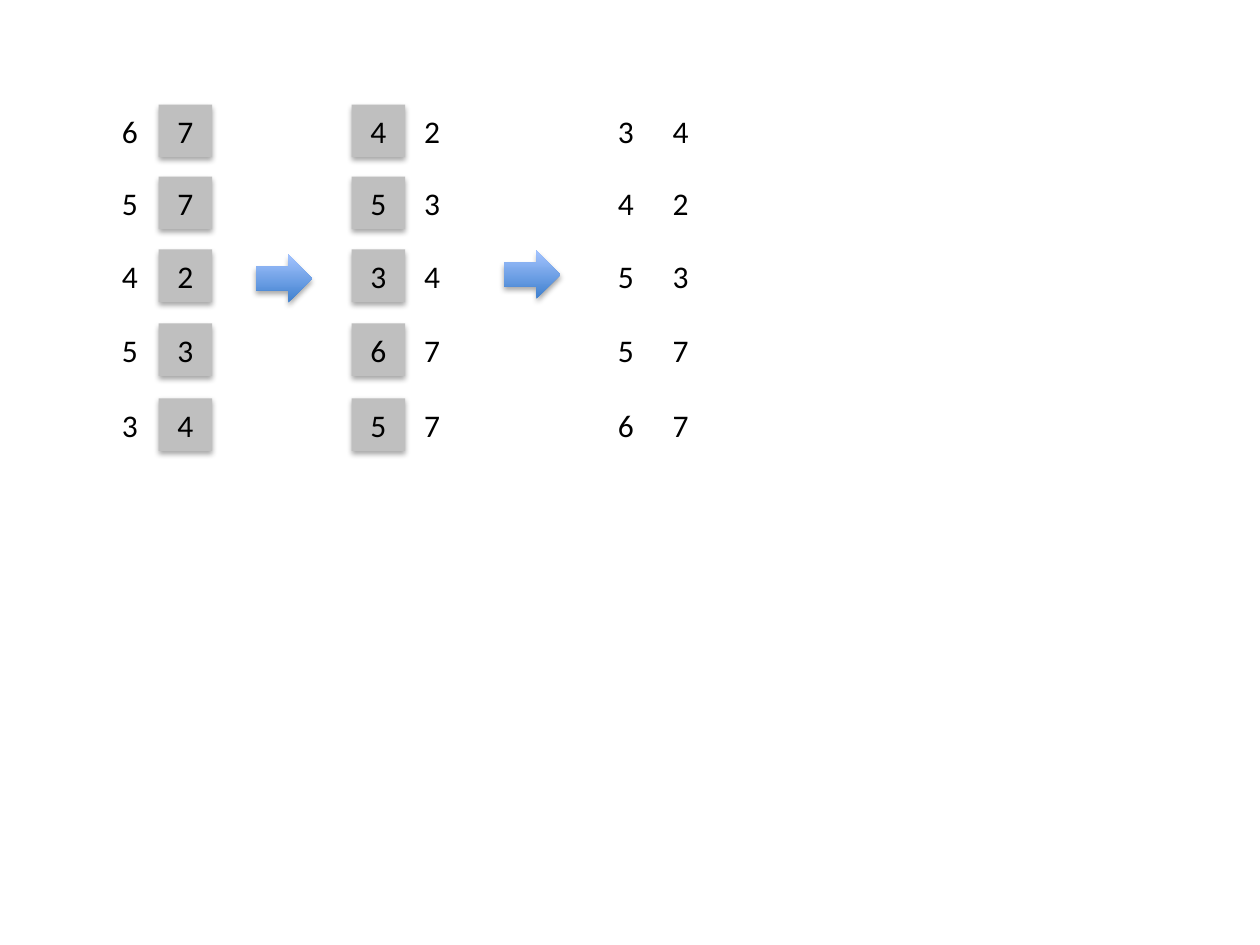
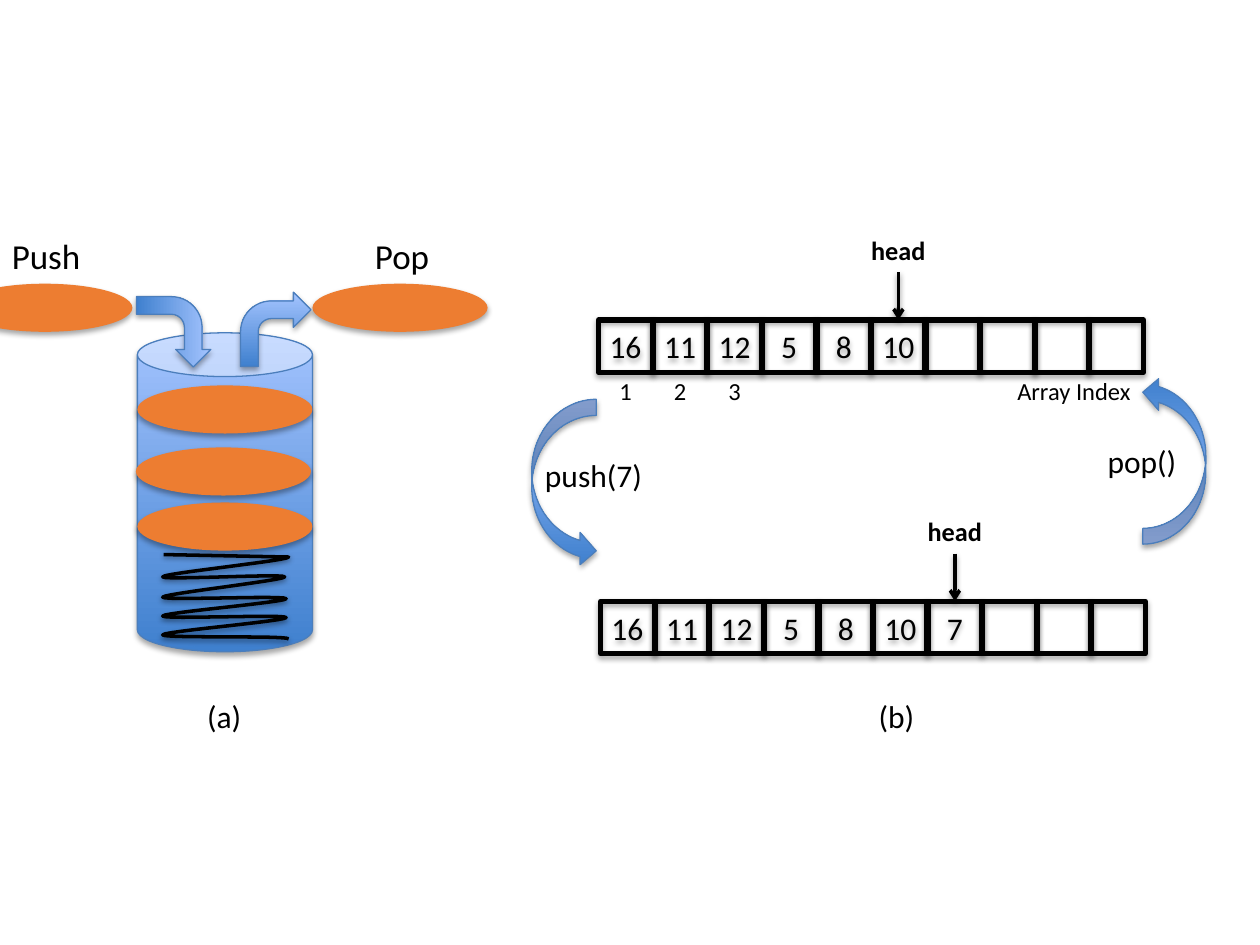
from pptx import Presentation
from pptx.dml.color import RGBColor
from pptx.enum.shapes import MSO_CONNECTOR as Link, MSO_SHAPE as Preset
from pptx.enum.text import MSO_ANCHOR as Anchor, PP_ALIGN as Align
from pptx.oxml import parse_xml
from pptx.oxml.ns import nsdecls, qn
from pptx.util import Cm, Pt

COLORS = {
    "ink": "000000",
    "square": "BFBFBF",
    "plate": "ED7D31",
    "deep": "3F80CE",
    "pale": "A4C4FF",
    "outline": "4B7EBC",
}
FONT = "Calibri"
CELL_W, CELL_H = 1.08, 1.06


def write(box, text, size=18, bold=False):
    frame = box.text_frame
    frame.word_wrap = False
    frame.vertical_anchor = Anchor.MIDDLE
    frame.margin_left = frame.margin_right = frame.margin_top = frame.margin_bottom = 0
    para = frame.paragraphs[0]
    para.alignment = Align.CENTER
    span = para.add_run()
    span.text = text
    span.font.name = FONT
    span.font.size = Pt(size)
    span.font.bold = bold
    span.font.color.rgb = RGBColor.from_string(COLORS["ink"])


def paint(shape, fill=None, line=None, width=0.75, distance=23000, opacity=35):
    """Set fill, line and the soft shadow; connectors have no fill."""
    if fill == "gradient":
        shape.fill.gradient()
        shape.fill.gradient_angle = 90
        for stop, name in zip(shape.fill.gradient_stops, ("deep", "pale")):
            stop.color.rgb = RGBColor.from_string(COLORS[name])
    elif fill:
        shape.fill.solid()
        shape.fill.fore_color.rgb = RGBColor.from_string(COLORS[fill])
    elif hasattr(shape, "fill"):
        shape.fill.background()
    if line:
        shape.line.color.rgb = RGBColor.from_string(COLORS[line])
        shape.line.width = Pt(width)
    else:
        shape.line.fill.background()
    shape._element.spPr.append(parse_xml(
        f'<a:effectLst {nsdecls("a")}><a:outerShdw blurRad="40000" dist="{distance}" '
        f'dir="5400000" rotWithShape="0"><a:srgbClr val="{COLORS["ink"]}">'
        f'<a:alpha val="{opacity}000"/></a:srgbClr></a:outerShdw></a:effectLst>'))


deck = Presentation()
deck.slide_width, deck.slide_height = Cm(25.4), Cm(19.05)
blank = deck.slide_layouts[6]

# Slide 1: radix sort, one digit at a time
page = deck.slides.add_slide(blank)
row_tops = [2.11, 3.56, 5.03, 6.52, 8.03]
digit_columns = [  # left, digits, is the sorted digit
    (2.08, "65453", False), (3.2, "77234", True),
    (7.09, "45365", True), (8.17, "23477", False),
    (12.08, "34556", False), (13.18, "42377", False),
]
for left, digits, sorted_digit in digit_columns:
    for top, digit in zip(row_tops, digits):
        bounds = Cm(left), Cm(top), Cm(CELL_W), Cm(CELL_H)
        if sorted_digit:
            box = page.shapes.add_shape(Preset.RECTANGLE, *bounds)
            paint(box, "square")
        else:
            box = page.shapes.add_textbox(*bounds)
        write(box, digit)

for left, top in [(5.16, 5.13), (10.16, 5.05)]:
    arrow = page.shapes.add_shape(Preset.RIGHT_ARROW, Cm(left), Cm(top), Cm(1.14), Cm(0.97))
    paint(arrow, "gradient")

# Slide 2: stack as a plate dispenser and as an array
page = deck.slides.add_slide(blank)

# Dispenser and plates
can = page.shapes.add_shape(Preset.CAN, Cm(2.77), Cm(6.71), Cm(3.53), Cm(6.43))
paint(can, "gradient", "outline")
for left, top in [(2.77, 7.77), (2.77, 10.13), (2.74, 9.02), (-0.86, 5.72), (6.3, 5.72)]:
    plate = page.shapes.add_shape(Preset.OVAL, Cm(left), Cm(top), Cm(3.53), Cm(0.97))
    paint(plate, "plate")

# Spring: each bend leaves and arrives vertically
bends = [(5.82, 11.23), (3.28, 11.63), (5.74, 11.63), (3.28, 12.04), (5.77, 12.07),
         (3.28, 12.42), (5.77, 12.45), (3.28, 12.8), (5.82, 12.88)]
PULL, STEPS = 0.07, 12
points = [bends[0]]
for (x0, y0), (x1, y1) in zip(bends, bends[1:]):
    for step in range(1, STEPS + 1):
        t = step / STEPS
        u = 1 - t
        near, far = u**3 + 3 * u**2 * t, 3 * u * t**2 + t**3
        y = near * y0 + far * y1 + 3 * u * t * PULL * (u - t)
        points.append((near * x0 + far * x1, y))
builder = page.shapes.build_freeform(Cm(3.3), Cm(11.18))
builder.add_line_segments([(Cm(x), Cm(y)) for x, y in points], close=False)
spring = builder.convert_to_shape()
paint(spring, line="ink", width=2, distance=20000, opacity=38)

# Block arrows
block_arrows = [  # preset, left, top, width, height, rotation
    (Preset.BENT_ARROW, 2.79, 5.94, 1.42, 1.5, 90),
    (Preset.BENT_ARROW, 4.85, 5.89, 1.42, 1.5, 0),
    (Preset.CURVED_RIGHT_ARROW, 10.72, 8.05, 1.3, 3.38, 0),
    (Preset.CURVED_RIGHT_ARROW, 23.04, 7.59, 1.27, 3.38, 0),
]
for preset, left, top, width, height, rotation in block_arrows:
    arrow = page.shapes.add_shape(preset, Cm(left), Cm(top), Cm(width), Cm(height))
    arrow.rotation = rotation
    paint(arrow, "gradient", "outline")
pop_frame = arrow._element.spPr.find(qn("a:xfrm"))
pop_frame.set("flipH", "1")
pop_frame.set("flipV", "1")

# Arrays, each with an arrow to its head
PITCH, LENGTH = 1.1, 10
before = [16, 11, 12, 5, 8, 10]
for row_left, row_top, values in [(12.07, 6.45, before), (12.11, 12.12, before + [7])]:
    cells = []
    for index in range(LENGTH):
        cell = page.shapes.add_shape(Preset.RECTANGLE, Cm(row_left + index * PITCH),
                                     Cm(row_top), Cm(CELL_W), Cm(CELL_H))
        paint(cell, line="ink", width=3)
        if index < len(values):
            write(cell, str(values[index]))
        cells.append(cell)
    head = cells[len(values) - 1]
    label_width = Cm(1.62)
    label = page.shapes.add_textbox(head.left + (head.width - label_width) // 2,
                                    Cm(row_top - 1.85), label_width, Cm(0.89))
    write(label, "head", 15, True)
    pointer = page.shapes.add_connector(Link.STRAIGHT, 0, 0, 0, 0)
    pointer.begin_connect(label, 2)
    pointer.end_connect(head, 0)
    paint(pointer, line="ink", width=2, distance=20000, opacity=38)
    pointer.line._get_or_add_ln().append(
        parse_xml(f'<a:tailEnd {nsdecls("a")} type="arrow"/>'))

# Labels
labels = [  # text, left, top, width, height, size
    ("Push", 0, 4.6, 1.86, 1.12, 20),
    ("Pop", 7.29, 4.6, 1.63, 1.12, 20),
    ("push(7)", 10.72, 9.07, 2.49, 1.02, 18),
    ("pop()", 22.07, 8.79, 1.9, 1.02, 18),
    ("(a)", 3.91, 13.92, 1.22, 1.02, 18),
    ("(b)", 17.45, 13.92, 1.24, 1.02, 18),
    ("Array Index", 20.24, 7.44, 2.82, 0.86, 14),
]
labels += [(str(n + 1), 12.07 + n * PITCH, 7.44, CELL_W, 0.86, 14) for n in range(3)]
for text, left, top, width, height, size in labels:
    box = page.shapes.add_textbox(Cm(left), Cm(top), Cm(width), Cm(height))
    write(box, text, size)

deck.save("out.pptx")
